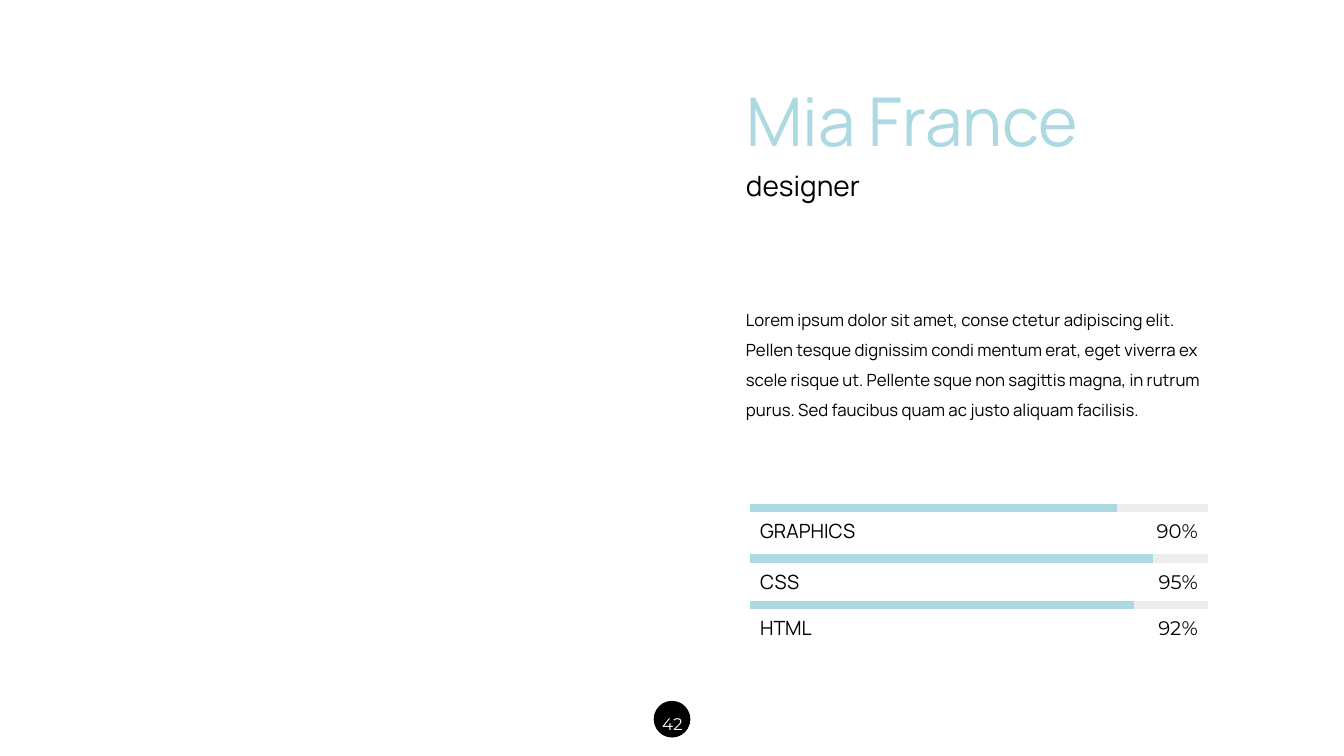
from dataclasses import dataclass

from lxml import etree
from pptx import Presentation
from pptx.dml.color import RGBColor
from pptx.enum.shapes import MSO_CONNECTOR, MSO_SHAPE
from pptx.enum.text import MSO_ANCHOR, MSO_AUTO_SIZE, PP_ALIGN
from pptx.oxml.ns import qn
from pptx.shapes.base import BaseShape
from pptx.slide import Slide
from pptx.util import Inches, Pt

LEFT, CENTER, RIGHT = PP_ALIGN.LEFT, PP_ALIGN.CENTER, PP_ALIGN.RIGHT
STRAIGHT = MSO_CONNECTOR.STRAIGHT
OVAL = MSO_SHAPE.OVAL
TOP = MSO_ANCHOR.TOP
GROW = MSO_AUTO_SIZE.SHAPE_TO_FIT_TEXT
TITLE_ONLY_LAYOUT = 5


@dataclass(frozen=True)
class Theme:
    accent: str = "ACD9E2"
    track: str = "EDEDED"
    ink: str = "000000"
    paper: str = "FFFFFF"
    text_font: str = "Manrope"
    number_font: str = "Montserrat"
    name_size: int = 48
    role_size: int = 20
    skill_size: int = 14
    body_size: int = 12
    bar_width: int = 6


@dataclass(frozen=True)
class Area:
    left: float
    top: float
    width: float
    height: float


@dataclass(frozen=True)
class TextStyle:
    size: int
    font: str
    color: str
    align: PP_ALIGN = LEFT
    line_spacing: float = 1.0


@dataclass(frozen=True)
class Skill:
    label: str
    percent: str
    top: float
    bar_end: float


THEME = Theme()
NAME = TextStyle(THEME.name_size, THEME.text_font, THEME.accent)
ROLE = TextStyle(THEME.role_size, THEME.text_font, THEME.ink)
BODY = TextStyle(THEME.body_size, THEME.text_font, THEME.ink, line_spacing=1.5)
PAGE_NUMBER = TextStyle(THEME.body_size, THEME.number_font, THEME.paper, CENTER, 1.5)
SKILL_LABEL = TextStyle(THEME.skill_size, THEME.text_font, THEME.ink)
SKILL_PERCENT = TextStyle(THEME.skill_size, THEME.number_font, THEME.ink, RIGHT)

TEXT_LEFT = 7.3
BAR_LEFT, BAR_RIGHT = 7.44, 11.98
LABEL_GAP, LABEL_HEIGHT = 0.06, 0.34
LABEL_WIDTH, PERCENT_WIDTH = 1.19, 0.73

BIOGRAPHY = (
    "Lorem ipsum dolor sit amet, conse ctetur adipiscing elit. "
    "Pellen tesque dignissim condi mentum erat, eget viverra ex "
    "scele risque ut. Pellente sque non sagittis magna, in rutrum "
    "purus. Sed faucibus quam ac justo aliquam facilisis."
)
SKILLS = (
    Skill("GRAPHICS", "90%", 5.04, 11.08),
    Skill("CSS", "95%", 5.54, 11.44),
    Skill("HTML", "92%", 6.0, 11.25),
)


def write_text(box: BaseShape, text: str, style: TextStyle) -> None:
    frame = box.text_frame
    frame.text = text
    frame.word_wrap = True
    frame.auto_size = GROW
    frame.vertical_anchor = TOP
    para = frame.paragraphs[0]
    para.alignment = style.align
    para.line_spacing = style.line_spacing
    font = para.runs[0].font
    font.size = Pt(style.size)
    font.name = style.font
    font.color.rgb = RGBColor.from_string(style.color)


def add_text(page: Slide, area: Area, text: str, style: TextStyle) -> None:
    box = page.shapes.add_textbox(
        Inches(area.left), Inches(area.top), Inches(area.width), Inches(area.height)
    )
    write_text(box, text, style)


def fill_title(page: Slide, area: Area, text: str, style: TextStyle) -> None:
    title = page.shapes.title
    title.left, title.top = Inches(area.left), Inches(area.top)
    title.width, title.height = Inches(area.width), Inches(area.height)
    write_text(title, text, style)


def add_bar(page: Slide, top: float, right: float, color: str) -> None:
    bar = page.shapes.add_connector(
        STRAIGHT, Inches(BAR_LEFT), Inches(top), Inches(right), Inches(top)
    )
    bar.line.color.rgb = RGBColor.from_string(color)
    bar.line.width = Pt(THEME.bar_width)
    etree.SubElement(bar.line._get_or_add_ln().getparent(), qn("a:effectLst"))


def add_skill(page: Slide, skill: Skill) -> None:
    add_bar(page, skill.top, BAR_RIGHT, THEME.track)
    add_bar(page, skill.top, skill.bar_end, THEME.accent)
    text_top = skill.top + LABEL_GAP
    percent_left = BAR_RIGHT - PERCENT_WIDTH
    percent_area = Area(percent_left, text_top, PERCENT_WIDTH, LABEL_HEIGHT)
    label_area = Area(BAR_LEFT, text_top, LABEL_WIDTH, LABEL_HEIGHT)
    add_text(page, percent_area, skill.percent, SKILL_PERCENT)
    add_text(page, label_area, skill.label, SKILL_LABEL)


def add_page_number(page: Slide, number: str) -> None:
    disc = page.shapes.add_shape(
        OVAL, Inches(6.49), Inches(6.96), Inches(0.35), Inches(0.35)
    )
    disc.shadow.inherit = False
    disc.fill.solid()
    disc.fill.fore_color.rgb = RGBColor.from_string(THEME.ink)
    disc.line.color.rgb = RGBColor.from_string(THEME.ink)
    disc.line.width = Pt(1)
    add_text(page, Area(6.42, 6.93, 0.5, 0.37), number, PAGE_NUMBER)


def main() -> None:
    deck = Presentation()
    deck.slide_width, deck.slide_height = Inches(13.33), Inches(7.5)
    page = deck.slides.add_slide(deck.slide_layouts[TITLE_ONLY_LAYOUT])
    fill_title(page, Area(TEXT_LEFT, 0.74, 3.81, 0.91), "Mia France", NAME)
    add_page_number(page, "42")
    add_text(page, Area(TEXT_LEFT, 2.92, 4.86, 1.31), BIOGRAPHY, BODY)
    add_text(page, Area(TEXT_LEFT, 1.62, 1.68, 0.44), "designer", ROLE)
    for skill in SKILLS:
        add_skill(page, skill)
    deck.save("out.pptx")


if __name__ == "__main__":
    main()
